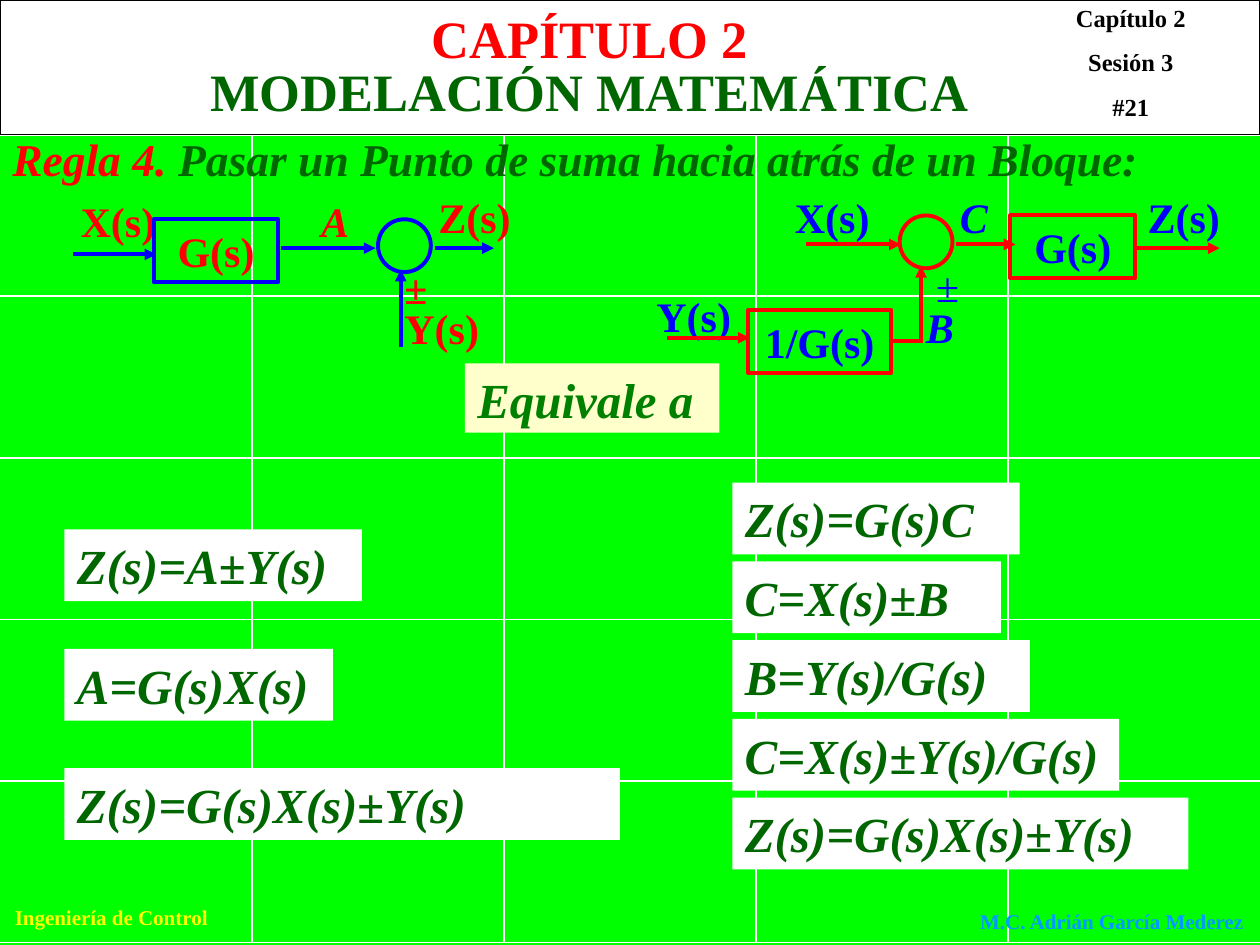
from dataclasses import dataclass

from lxml.etree import SubElement
from pptx import Presentation
from pptx.dml.color import RGBColor
from pptx.enum.shapes import MSO_CONNECTOR, MSO_SHAPE
from pptx.enum.text import MSO_ANCHOR, PP_ALIGN
from pptx.oxml.ns import qn
from pptx.util import Pt


@dataclass(frozen=True)
class Theme:
    """Colours, font and type sizes of the slide."""
    font: str = "Times New Roman"
    ground: str = "00FF00"
    white: str = "FFFFFF"
    black: str = "000000"
    red: str = "FF0000"
    blue: str = "0000FF"
    green: str = "006600"
    mid_green: str = "008000"
    cream: str = "FFFFCC"
    yellow: str = "FFFF00"
    sky: str = "0099FF"
    heading: int = 30
    formula: int = 28
    rule: int = 26
    label: int = 24
    session: int = 14
    footer: int = 12


THEME = Theme()


def write(shape, paragraphs, size, align=PP_ALIGN.LEFT, anchor=MSO_ANCHOR.TOP, gap=0, **font):
    """Fill a shape with paragraphs, each a list of (text, colour) spans."""
    frame = shape.text_frame
    settings = {"word_wrap": True, "vertical_anchor": anchor,
                "margin_left": Pt(7.2), "margin_right": Pt(7.2),
                "margin_top": Pt(3.6), "margin_bottom": Pt(3.6)}
    for name, value in settings.items():
        setattr(frame, name, value)
    formats = {"name": THEME.font, "size": Pt(size), "bold": True, "italic": False, **font}
    for index, spans in enumerate(paragraphs):
        para = frame.add_paragraph() if index else frame.paragraphs[0]
        para.alignment, para.space_before, para.line_spacing = align, Pt(gap), 1.0
        for text, color in spans:
            span = para.add_run()
            span.text = text
            for name, value in formats.items():
                setattr(span.font, name, value)
            span.font.color.rgb = RGBColor.from_string(color)


def add_text(page, box, paragraphs, size, **formats):
    """Add a text box at a box of (left, top, width, height)."""
    write(page.shapes.add_textbox(*map(Pt, box)), paragraphs, size, **formats)


def add_panel(page, box, fill=None, line=None, width=2.25, kind=MSO_SHAPE.RECTANGLE):
    """Add a flat shape with optional fill and outline."""
    panel = page.shapes.add_shape(kind, *map(Pt, box))
    panel.shadow.inherit = False
    for paint, color in ((panel.fill, fill), (panel.line.fill, line)):
        if color:
            paint.solid()
            paint.fore_color.rgb = RGBColor.from_string(color)
        else:
            paint.background()
    if line:
        panel.line.width = Pt(width)
    return panel


def add_line(page, ends, color, width=2.25, arrow=True):
    """Add a straight line between (x1, y1, x2, y2), with an optional arrowhead."""
    line = page.shapes.add_connector(MSO_CONNECTOR.STRAIGHT, *map(Pt, ends))
    line.line.color.rgb = RGBColor.from_string(color)
    line.line.width = Pt(width)
    if arrow:
        SubElement(line.line._get_or_add_ln(), qn("a:tailEnd"), type="triangle")
    SubElement(line.element.spPr, qn("a:effectLst"))


def add_grid(page, box):
    """Draw the white background grid inside the box."""
    left, top, width, height = box
    for column in range(1, 5):
        x = left + column * width / 5
        add_line(page, (x, top, x, top + height), THEME.white, 1, arrow=False)
    for row in range(6):
        y = top + row * height / 5
        add_line(page, (left, y, left + width, y), THEME.white, 1, arrow=False)


def add_header(page, box):
    """Draw the header band with the chapter, the title and the session."""
    left, top, width, height = box
    add_panel(page, box, THEME.white, THEME.black, 0.75)
    add_text(page, (left + 586.8, top - 2, 118.8, 75.6),
             [[(text, THEME.black)] for text in ("Capítulo 2", "Sesión 3", "#21")],
             THEME.session, align=PP_ALIGN.CENTER, gap=8.8)
    add_text(page, (left + 64.8, top, 544.3, 43.2), [[("CAPÍTULO 2", THEME.red)]],
             THEME.heading, align=PP_ALIGN.CENTER)
    title = page.shapes.title
    for name, value in zip(("left", "top", "width", "height"),
                           (left + 64.8, top + 30.2, 544.3, 43.2)):
        setattr(title, name, Pt(value))
    write(title, [[("MODELACIÓN MATEMÁTICA", THEME.green)]], THEME.heading,
          align=PP_ALIGN.CENTER)
    title.element.getparent().append(title.element)


def add_diagram(page, box, ink, stroke, parts):
    """Draw a block diagram whose parts are given relative to the box."""
    left, top = box[:2]
    for text, x, y, formats in parts["labels"]:
        width = 71.3 if len(text) > 1 else 47.5
        add_text(page, (left + x, top + y, width, 36), [[(text, ink)]], THEME.label, **formats)
    x, y = parts["sum"]
    add_panel(page, (left + x, top + y, 30.2, 30.2), line=stroke, kind=MSO_SHAPE.OVAL)
    for text, x, y, width in parts["blocks"]:
        block = add_panel(page, (left + x, top + y, width, 36), line=stroke)
        write(block, [[(text, ink)]], THEME.label, align=PP_ALIGN.CENTER)
    for arrow, lines in ((True, parts["arrows"]), (False, parts["links"])):
        for x1, y1, x2, y2 in lines:
            add_line(page, (left + x1, top + y1, left + x2, top + y2), stroke, arrow=arrow)


def add_formulas(page, box, pitch, formulas):
    """Stack formula panels of given widths down the box."""
    left, top, _, height = box
    for index, (text, width) in enumerate(formulas):
        panel = add_panel(page, (left, top + index * pitch, width, height), THEME.white)
        write(panel, [[(text, THEME.green)]], THEME.formula, italic=True)


def add_footer(page, box):
    """Write the course on the left and the author on the right."""
    left, top, width, height = box
    add_text(page, (left, top, 127.4, height), [[("Ingeniería de Control", THEME.yellow)]],
             THEME.footer, align=PP_ALIGN.CENTER)
    add_text(page, (left + width - 167, top + 2.5, 167, height),
             [[("M.C. Adrián García Mederez", THEME.sky)]], THEME.footer)


BEFORE = {
    "labels": [("Z(s)", 204.4, 0, {}), ("A", 137.4, 2, {"italic": True}), ("X(s)", 0, 2, {}),
               ("Y(s)", 185, 63.2, {}), ("±", 185, 40.2, {})],
    "sum": (177, 19.3),
    "blocks": [("G(s)", 48.8, 19.3, 71.3)],
    "arrows": [(121.6, 35.8, 175.6, 35.8), (190, 92, 190, 48.1),
               (209.4, 35.8, 243.2, 35.8), (2.8, 39.4, 50.3, 39.4)],
    "links": [],
}
AFTER = {
    "labels": [("Z(s)", 280.7, 0, {}), ("±", 159.8, 39.4, {"bold": False}),
               ("X(s)", 79.1, 0, {}), ("Y(s)", 0, 56.7, {}),
               ("B", 154, 62.5, {"italic": True}), ("C", 173.4, 0, {"italic": True})],
    "sum": (146.1, 17.1),
    "blocks": [("G(s)", 209.4, 17.1, 71.3), ("1/G(s)", 59.7, 71.1, 81.4)],
    "arrows": [(92.8, 33.7, 146.8, 33.7), (158.3, 89.8, 158.3, 45.9),
               (178.5, 33.7, 212.3, 33.7), (281.4, 35.8, 329, 35.8), (12.9, 87, 60.4, 87)],
    "links": [(140.3, 89.1, 158.3, 89.1)],
}
LEFT_FORMULAS = [("Z(s)=A±Y(s)", 170), ("A=G(s)X(s)", 153.4), ("Z(s)=G(s)X(s)±Y(s)", 317.5)]
RIGHT_FORMULAS = [("Z(s)=G(s)C", 164.2), ("C=X(s)±B", 153.4), ("B=Y(s)/G(s)", 170),
                  ("C=X(s)±Y(s)/G(s)", 221), ("Z(s)=G(s)X(s)±Y(s)", 260.6)]


def main():
    """Build the slide and save the deck."""
    deck = Presentation()
    deck.slide_width, deck.slide_height = Pt(720), Pt(540)
    page = deck.slides.add_slide(deck.slide_layouts[5])
    page.background.fill.solid()
    page.background.fill.fore_color.rgb = RGBColor.from_string(THEME.ground)
    add_grid(page, (0, 77, 720, 461.6))
    add_header(page, (0, 0, 720, 77))
    add_footer(page, (0, 513.4, 720, 21.6))
    add_text(page, (0, 71.3, 720, 38.9),
             [[("Regla 4.", THEME.red),
               (" Pasar un Punto de suma hacia atrás de un Bloque:", THEME.green)]],
             THEME.rule, align=PP_ALIGN.JUSTIFY, italic=True)
    add_diagram(page, (39, 106, 277, 100), THEME.red, THEME.blue, BEFORE)
    add_diagram(page, (368, 106, 352, 108), THEME.blue, THEME.red, AFTER)
    equivalence = add_panel(page, (265.7, 207.6, 145.4, 39.6), THEME.cream)
    write(equivalence, [[("Equivale a", THEME.mid_green)]], THEME.formula, italic=True)
    add_formulas(page, (36.8, 302.6, 317.5, 41), 68.2, LEFT_FORMULAS)
    add_formulas(page, (418.5, 275.8, 260.6, 41), 45, RIGHT_FORMULAS)
    deck.save("out.pptx")


if __name__ == "__main__":
    main()
